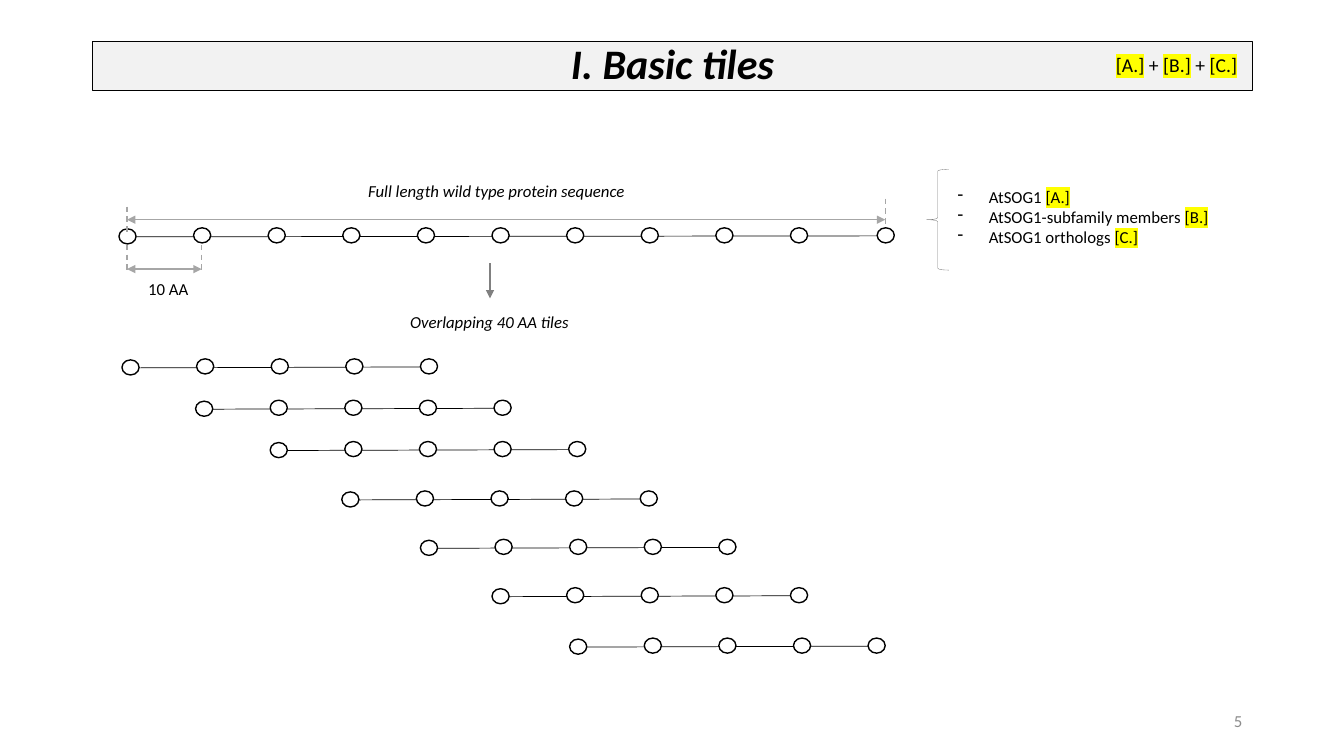
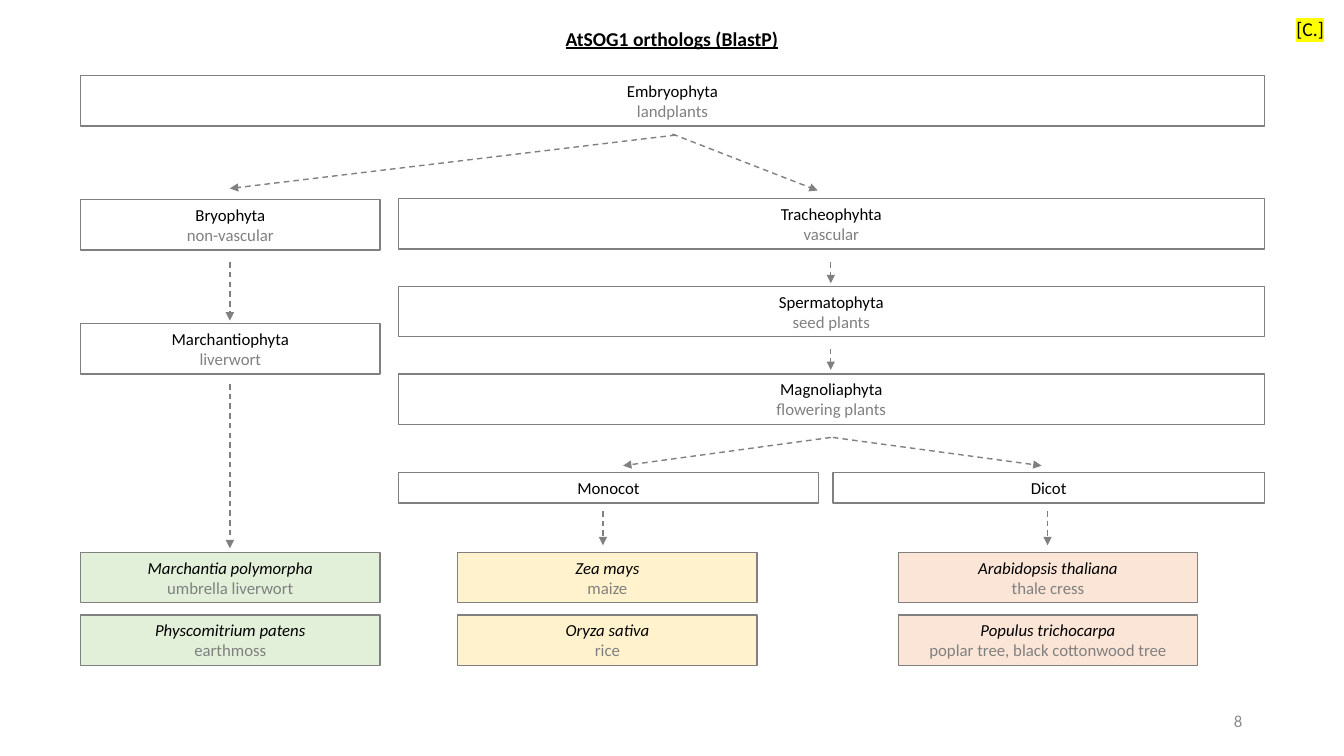
from lxml import etree
from pptx import Presentation
from pptx.dml.color import RGBColor
from pptx.enum.dml import MSO_LINE
from pptx.enum.shapes import MSO_CONNECTOR, MSO_SHAPE
from pptx.enum.text import MSO_ANCHOR, MSO_AUTO_SIZE, PP_ALIGN
from pptx.oxml.ns import qn
from pptx.util import Inches, Pt

LEFT, MID, RIGHT = PP_ALIGN.LEFT, PP_ALIGN.CENTER, PP_ALIGN.RIGHT
TOP, CENTER = MSO_ANCHOR.TOP, MSO_ANCHOR.MIDDLE
RECT, OVAL, BRACE = MSO_SHAPE.RECTANGLE, MSO_SHAPE.OVAL, MSO_SHAPE.LEFT_BRACE
STRAIGHT, DASH = MSO_CONNECTOR.STRAIGHT, MSO_LINE.DASH
FONT = "Calibri"
BLACK, WHITE, GRAY, PALE = "000000", "FFFFFF", "808080", "A6A6A6"
BAND, MARK, NUMBER = "F2F2F2", "FFFF00", "8C8C8C"
GREEN, YELLOW, PEACH = "E2F0D9", "FFF2CC", "FBE5D6"

STEP, BEAD_W, BEAD_H = 0.74, 0.17, 0.15
WHOLE = [1.18 + STEP * i for i in range(10)] + [8.7]
TILES = [(1.21, 3.56), (1.94, 3.97), (2.68, 4.38), (3.39, 4.87),
         (4.17, 5.35), (4.88, 5.83), (5.65, 6.33)]
GUIDES = [(1.26, 2.43), (2, 2.43), (1.26, 2.05), (8.78, 1.97)]
SPANS = [(1.26, 2, 2.67), (1.26, 8.78, 2.18)]
LABELS = [("Full length wild type protein sequence", 2.72, 1.74, 4.41),
          ("Overlapping 40 AA tiles", 3.68, 3.04, 2.35)]
SOURCES = [["AtSOG1 ", "[A.]"], ["AtSOG1-subfamily members ", "[B.]"],
           ["AtSOG1 orthologs ", "[C.]"]]

SIDE, WIDE, CEREAL, TREE = (0.8, 2.97), (3.95, 8.59), (4.54, 2.97), (8.91, 2.97)
CLADES = [
    ("Embryophyta", "landplants", (0.8, 11.74), 0.75),
    ("Bryophyta", "non-vascular", SIDE, 1.98),
    ("Marchantiophyta", "liverwort", SIDE, 3.21),
    ("Tracheophyhta", "vascular", WIDE, 1.97),
    ("Spermatophyta", "seed plants", WIDE, 2.84),
    ("Magnoliaphyta", "flowering plants", WIDE, 3.71),
    ("Monocot", "", (3.95, 4.17), 4.69),
    ("Dicot", "", (8.26, 4.28), 4.69),
]
SPECIES = [
    (SIDE, GREEN, [("Marchantia polymorpha", "umbrella liverwort"),
                   ("Physcomitrium patens", "earthmoss")]),
    (CEREAL, YELLOW, [("Zea mays", "maize"), ("Oryza sativa", "rice")]),
    (TREE, PEACH, [("Arabidopsis thaliana", "thale cress"),
                   ("Populus trichocarpa", "poplar tree, black cottonwood tree")]),
]
ARROWS = [(6.7, 1.34, 2.28, 1.87), (6.67, 1.33, 8.11, 1.89),
          (2.28, 2.6, 2.28, 3.18), (2.28, 3.81, 2.28, 5.44),
          (8.24, 2.6, 8.24, 2.81), (8.24, 3.46, 8.24, 3.67),
          (8.24, 4.34, 6.18, 4.62), (8.26, 4.34, 10.33, 4.62),
          (5.98, 5.07, 5.98, 5.41), (10.39, 5.07, 10.39, 5.41)]


def rgb(color):
    return RGBColor.from_string(color)


def place(shape, x, y, w, h):
    shape.left, shape.top = Inches(x), Inches(y)
    shape.width, shape.height = Inches(w), Inches(h)


def style(run, size, color=BLACK, bold=False, italic=False):
    font = run.font
    font.name, font.size = FONT, Pt(size)
    font.bold, font.italic = bold, italic
    font.color.rgb = rgb(color)


def write(para, parts, size, color=BLACK, italic=False, align=LEFT):
    para.alignment = align
    for part in parts:
        run = para.add_run()
        run.text = part
        style(run, size, color, italic=italic)
        if part.startswith("["):
            mark = etree.Element(qn("a:highlight"))
            etree.SubElement(mark, qn("a:srgbClr"), val=MARK)
            run.font._element.find(qn("a:solidFill")).addnext(mark)


def label(slide, parts, x, y, w, h=0.3, size=12, color=BLACK,
          italic=False, align=LEFT, anchor=TOP):
    box = slide.shapes.add_textbox(Inches(x), Inches(y), Inches(w), Inches(h))
    frame = box.text_frame
    frame.word_wrap, frame.vertical_anchor = True, anchor
    write(frame.paragraphs[0], parts, size, color, italic, align)


def outline(shape, fill, line, width):
    if fill:
        shape.fill.solid()
        shape.fill.fore_color.rgb = rgb(fill)
    else:
        shape.fill.background()
    shape.line.color.rgb = rgb(line)
    shape.line.width = Pt(width)


def draw(slide, kind, x, y, w, h, fill=None, line=BLACK, width=1):
    shape = slide.shapes.add_shape(kind, Inches(x), Inches(y), Inches(w), Inches(h))
    shape.shadow.inherit = False
    outline(shape, fill, line, width)
    return shape


def link(slide, x1, y1, x2, y2, color, width=1, dash=False, ends=()):
    line = slide.shapes.add_connector(STRAIGHT, Inches(x1), Inches(y1),
                                      Inches(x2), Inches(y2))
    line.line.color.rgb = rgb(color)
    line.line.width = Pt(width)
    if dash:
        line.line.dash_style = DASH
    props = line._element.spPr
    for end in ends:
        etree.SubElement(props.find(qn("a:ln")), qn("a:" + end), type="triangle")
    etree.SubElement(props, qn("a:effectLst"))


def start(deck, text, number, at, size, italic=False):
    slide = deck.slides.add_slide(deck.slide_layouts[5])
    title = slide.shapes.title
    place(title, *at)
    frame = title.text_frame
    frame.text = text
    frame.word_wrap, frame.auto_size = True, MSO_AUTO_SIZE.NONE
    frame.vertical_anchor = CENTER
    para = frame.paragraphs[0]
    para.alignment = MID
    style(para.runs[0], size, bold=True, italic=italic)
    label(slide, [number], 9.42, 6.95, 3, 0.4, color=NUMBER, align=RIGHT, anchor=CENTER)
    return slide, title


def chain(slide, lefts, top):
    link(slide, lefts[0], top + 0.09, lefts[-1] + BEAD_W, top + 0.08, BLACK, 0.5)
    for i, x in enumerate(lefts):
        y = top if i else top + 0.01
        draw(slide, OVAL, x, y, BEAD_W, BEAD_H, WHITE)


def card(slide, name, note, col, y, fill=None, italic=False):
    x, w = col
    box = draw(slide, RECT, x, y, w, 0.5 if note else 0.3, fill, GRAY)
    frame = box.text_frame
    frame.word_wrap, frame.vertical_anchor = True, CENTER
    write(frame.paragraphs[0], [name], 12, italic=italic, align=MID)
    if note:
        write(frame.add_paragraph(), [note], 12, GRAY, align=MID)


def bullets(slide, rows, x, y, w, h):
    box = slide.shapes.add_textbox(Inches(x), Inches(y), Inches(w), Inches(h))
    frame = box.text_frame
    frame.word_wrap = True
    for i, parts in enumerate(rows):
        para = frame.add_paragraph() if i else frame.paragraphs[0]
        props = para._p.get_or_add_pPr()
        props.set("marL", str(Inches(0.31)))
        props.set("indent", str(-Inches(0.31)))
        etree.SubElement(props, qn("a:buChar"), char="-")
        write(para, parts, 12)


def tiles(deck):
    slide, title = start(deck, "I. Basic tiles", "5", (0.92, 0.41, 11.5, 0.49), 30, True)
    outline(title, BAND, BLACK, 1)
    title.text_frame.paragraphs[0].line_spacing = 0.9
    label(slide, ["[A.]", " + ", "[B.]", " + ", "[C.]"], 10.97, 0.48, 1.45, 0.34, 14)
    bullets(slide, SOURCES, 9.4, 1.8, 2.9, 0.71)
    draw(slide, BRACE, 9.19, 1.68, 0.22, 1, line=GRAY, width=0.25)
    for text, x, y, w in LABELS:
        label(slide, [text], x, y, w, italic=True, align=MID)
    label(slide, ["10 AA"], 1.37, 2.72, 0.8)
    for x, y in TILES:
        chain(slide, [x + STEP * i for i in range(5)], y)
    chain(slide, WHOLE, 2.26)
    link(slide, 4.86, 2.61, 4.86, 2.96, GRAY, ends=["tailEnd"])
    for x, y in GUIDES:
        link(slide, x, y, x, y + 0.26, PALE, dash=True)
    for x1, x2, y in SPANS:
        link(slide, x1, y, x2, y, PALE, ends=["headEnd", "tailEnd"])


def orthologs(deck):
    slide, title = start(deck, "AtSOG1 orthologs (BlastP)", "8", (0, 0.21, 13.33, 0.34), 14)
    title.text_frame.paragraphs[0].runs[0].font.underline = True
    label(slide, ["[C.]"], 12.76, 0.12, 0.69, 0.34, 14)
    for name, note, col, y in CLADES:
        card(slide, name, note, col, y)
    for col, fill, pairs in SPECIES:
        for i, (name, note) in enumerate(pairs):
            card(slide, name, note, col, 5.48 + 0.62 * i, fill, True)
    for ends in ARROWS:
        link(slide, *ends, GRAY, dash=True, ends=["tailEnd"])


def main():
    deck = Presentation()
    deck.slide_width, deck.slide_height = Inches(13.33), Inches(7.5)
    tiles(deck)
    orthologs(deck)
    deck.save("out.pptx")


if __name__ == "__main__":
    main()
